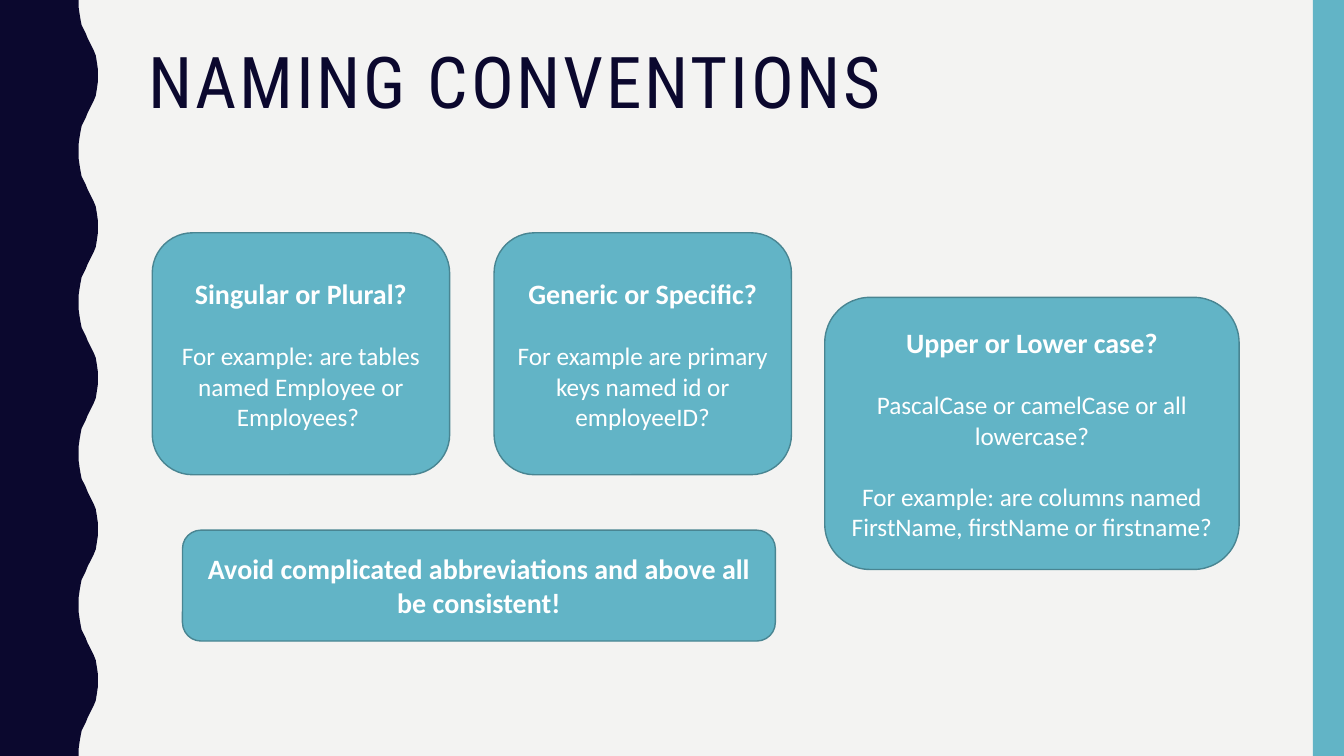
from pptx import Presentation
from pptx import util as u
from pptx.dml.color import RGBColor
from pptx.enum import shapes, text

HUES = {"navy": "0B082E", "teal": "62B4C6", "edge": "498592", "white": "FFFFFF", "back": "F3F3F2"}
WIDE, HIGH = 13.33, 7.5
TITLE = "NAMING CONVENTIONS"
CARDS = [
    ((1.51, 2.31, 2.95, 2.4), "Singular or Plural?",
     ["For example: are tables named Employee or Employees? "]),
    ((8.18, 2.95, 4.11, 2.7), "Upper or Lower case?",
     ["PascalCase or camelCase or all lowercase?",
      "For example: are columns named FirstName, firstName or firstname?"]),
    ((4.9, 2.31, 2.95, 2.4), "Generic or Specific?",
     ["For example are primary keys named id or employeeID?"]),
    ((1.81, 5.26, 5.88, 1.1), "Avoid complicated abbreviations and above all be consistent!", []),
]
TITLE_FONT = {"name": "Roboto Condensed", "size": u.Pt(51)}
HEAD_FONT = {"name": "Calibri", "size": u.Pt(20), "bold": True}
BODY_FONT = {"name": "Calibri", "size": u.Pt(18), "bold": False}
GAP = u.Pt(22)
WAVE = [(0.78, 0), (0.78, 0.07), (0.79, 0.14), (0.8, 0.2), (0.81, 0.25), (0.83, 0.29),
        (0.85, 0.33), (0.87, 0.38), (0.89, 0.42), (0.91, 0.46), (0.93, 0.5),
        (0.95, 0.55), (0.96, 0.61), (0.97, 0.68), (0.97, 0.75)]
HALF = 0.75


def tint(name):
    return RGBColor.from_string(HUES[name])


def paint(shape, fill, line=None):
    shape.shadow.inherit = False
    shape.fill.solid()
    shape.fill.fore_color.rgb = tint(fill)
    if line:
        shape.line.color.rgb = tint(line)
        shape.line.width = u.Pt(1)
    else:
        shape.line.fill.background()


def write(para, words, font, hue):
    run = para.add_run()
    run.text = words
    for key, value in font.items():
        setattr(run.font, key, value)
    run.font.color.rgb = tint(hue)
    return run


def wave():
    points = []
    for turn in range(round(HIGH / HALF)):
        part = WAVE if turn % 2 == 0 else [(x, HALF - y) for x, y in reversed(WAVE)]
        points += [(x, turn * HALF + y) for x, y in part]
    return [(u.Inches(x), u.Inches(y)) for x, y in points + [(0, HIGH)]]


deck = Presentation()
deck.slide_width, deck.slide_height = u.Inches(WIDE), u.Inches(HIGH)
slide = deck.slides.add_slide(deck.slide_layouts[6])
slide.background.fill.solid()
slide.background.fill.fore_color.rgb = tint("back")

pen = slide.shapes.build_freeform(0, 0)
pen.add_line_segments(wave(), close=True)
paint(pen.convert_to_shape(), "navy")

strip = slide.shapes.add_shape(shapes.MSO_SHAPE.RECTANGLE, *map(u.Inches, (13.02, 0, 0.31, HIGH)))
paint(strip, "teal")

title = slide.shapes.add_textbox(*map(u.Inches, (1.37, 0.42, 11.13, 1.63))).text_frame
title.word_wrap = True
title.paragraphs[0].line_spacing = 0.9
run = write(title.paragraphs[0], TITLE, TITLE_FONT, "navy")
run.font._element.set("spc", "200")

for box, head, body in CARDS:
    card = slide.shapes.add_shape(shapes.MSO_SHAPE.ROUNDED_RECTANGLE, *map(u.Inches, box))
    paint(card, "teal", "edge")
    frame = card.text_frame
    frame.word_wrap = True
    frame.vertical_anchor = text.MSO_ANCHOR.MIDDLE
    write(frame.paragraphs[0], head, HEAD_FONT, "white")
    for words in body:
        para = frame.add_paragraph()
        para.space_before = GAP
        write(para, words, BODY_FONT, "white")
    for para in frame.paragraphs:
        para.alignment = text.PP_ALIGN.CENTER

deck.save("out.pptx")
